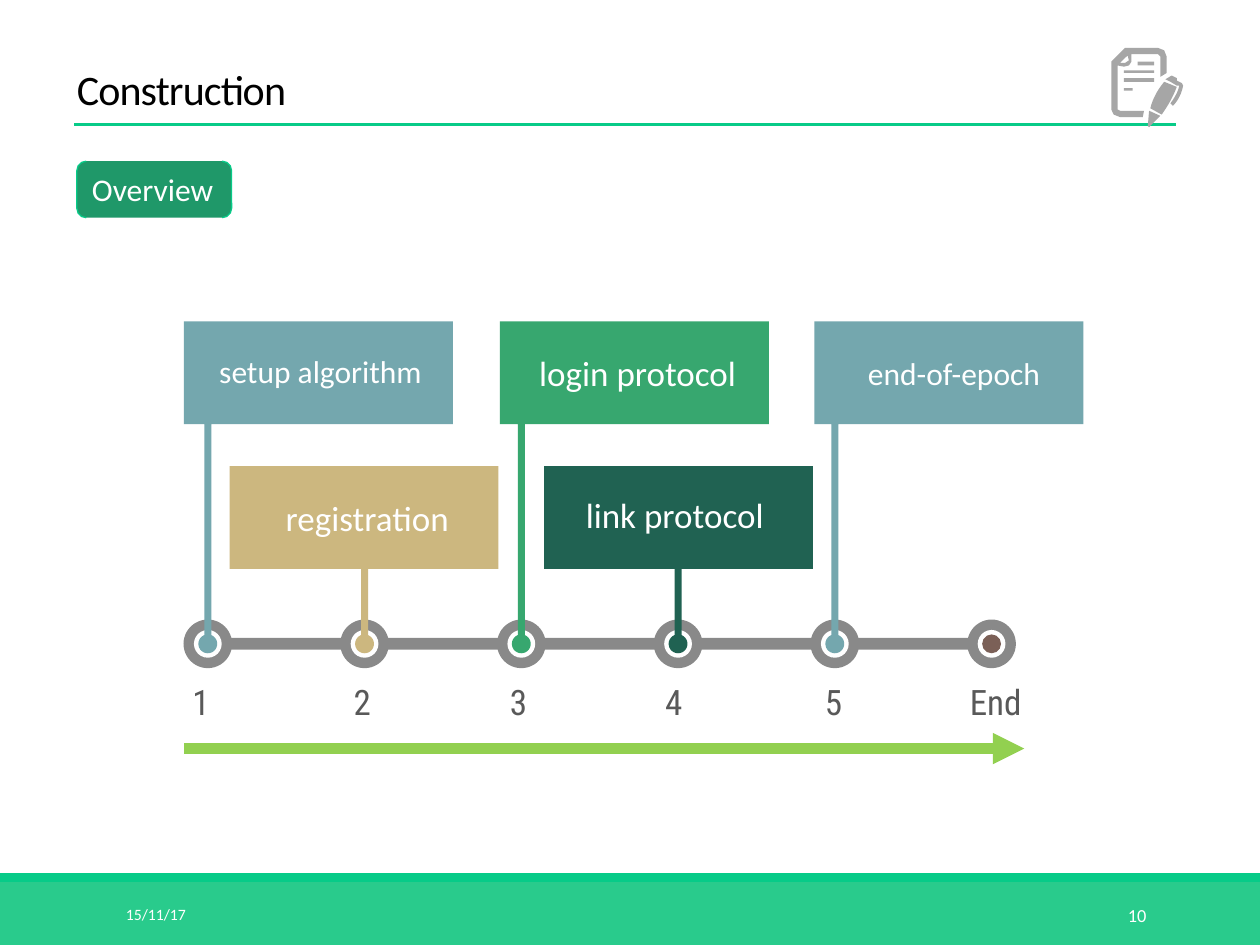
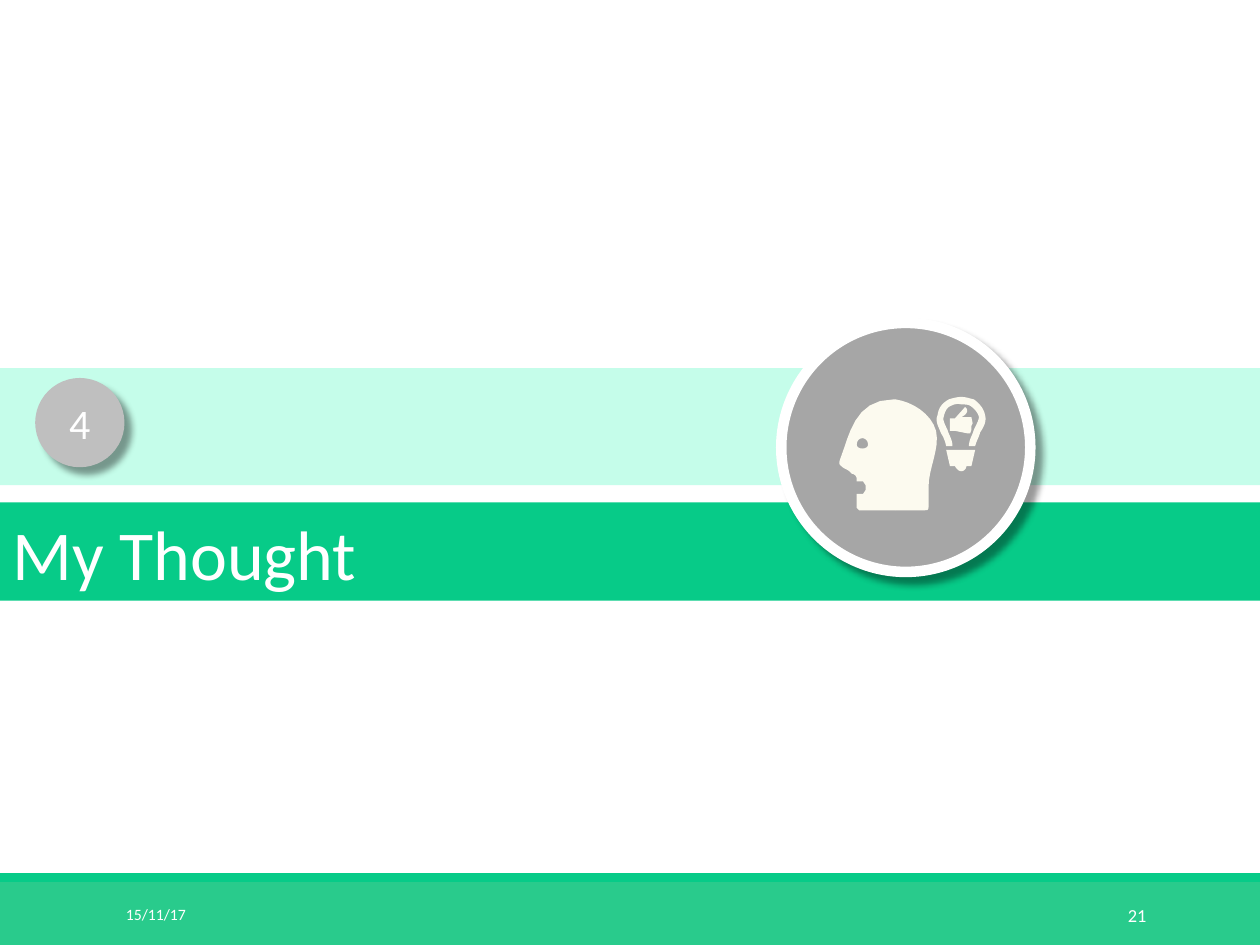
from math import cos, pi, sin

from lxml.etree import SubElement
from pptx import Presentation
from pptx.dml.color import RGBColor
from pptx.enum.shapes import MSO_CONNECTOR, MSO_SHAPE
from pptx.enum.text import MSO_ANCHOR, PP_ALIGN
from pptx.oxml.ns import qn
from pptx.util import Cm, Pt

HUES = {
    "white": "FFFFFF", "black": "000000", "green": "07CB88", "foot": "29CB8C",
    "mint": "C5FDEA", "badge": "1F9869", "grey": "898989", "icon": "A6A6A6",
    "disc": "BFBFBF", "label": "595959", "teal": "74A7AE", "sand": "CCB77F",
    "leaf": "37A76F", "pine": "206252", "brown": "7B6057", "lime": "92D050",
    "cream": "FCFAEF",
}
WIDE, HIGH = 25.4, 19.05
GRID = 0.0254  # icon points are hundredths of an inch


def bend(curve, steps=8):
    """Turn (x, y) points and (x1, y1, x2, y2, x, y) curves into plain points."""
    spots = []
    for item in curve:
        if len(item) == 2:
            spots.append(item)
            continue
        ends = [spots[-1], item[:2], item[2:4], item[4:]]
        for step in range(1, steps + 1):
            t = step / steps
            mix = ((1 - t) ** 3, 3 * t * (1 - t) ** 2, 3 * t * t * (1 - t), t ** 3)
            spots.append(tuple(sum(m * e[k] for m, e in zip(mix, ends)) for k in (0, 1)))
    return spots


def rect(left, top, right, low):
    return [(left, top), (right, top), (right, low), (left, low)]


class Deck:
    def __init__(self):
        self.prs = Presentation()
        self.prs.slide_width, self.prs.slide_height = Cm(WIDE), Cm(HIGH)
        self.slide = None

    def hue(self, name):
        return RGBColor.from_string(HUES[name])

    def page(self, num):
        self.slide = self.prs.slides.add_slide(self.prs.slide_layouts[6])
        self.shape(MSO_SHAPE.RECTANGLE, (0, 17.78, WIDE, 1.27), "foot")
        self.shape(MSO_SHAPE.RECTANGLE, (0, 17.6, WIDE, 0.18), "green")
        self.text("15/11/17", (2.29, 17.93, 5.16, 1.02), 9, anchor=MSO_ANCHOR.MIDDLE)
        self.text(num, (20.62, 17.93, 2.74, 1.02), 10.5,
                  anchor=MSO_ANCHOR.MIDDLE, align=PP_ALIGN.RIGHT)

    def paint(self, shape, fill, line=None, weight=0.75, shade=False):
        shape.shadow.inherit = False
        shape.fill.solid()
        shape.fill.fore_color.rgb = self.hue(fill)
        if line:
            shape.line.color.rgb = self.hue(line)
            shape.line.width = Pt(weight)
        else:
            shape.line.fill.background()
        if shade:
            cast = SubElement(shape._element.spPr.find(qn("a:effectLst")),
                              qn("a:outerShdw"), blurRad="50800", dist="76200",
                              dir="2700000", algn="tl", rotWithShape="0")
            tint = SubElement(cast, qn("a:srgbClr"), val=HUES["black"])
            SubElement(tint, qn("a:alpha"), val="40000")

    def shape(self, kind, box, fill, **look):
        shape = self.slide.shapes.add_shape(kind, *map(Cm, box))
        self.paint(shape, fill, **look)
        return shape

    def disc(self, x, y, r, fill, **look):
        return self.shape(MSO_SHAPE.OVAL, (x - r, y - r, 2 * r, 2 * r), fill, **look)

    def free(self, curves, fill, unit=1):
        pen = None
        for curve in curves:
            spots = [(Cm(x * unit), Cm(y * unit)) for x, y in bend(curve)]
            if pen:
                pen.move_to(*spots[0])
            else:
                pen = self.slide.shapes.build_freeform(*spots[0], scale=1.0)
            pen.add_line_segments(spots[1:], close=True)
        self.paint(pen.convert_to_shape(), fill)

    def label(self, shape, words, size, hue="white", face="Calibri", wrap=True,
              anchor=MSO_ANCHOR.TOP, align=PP_ALIGN.LEFT, lead=None, track=None):
        frame = shape.text_frame
        para = frame.paragraphs[0]
        run = para.add_run()
        run.text = words
        run.font.color.rgb = self.hue(hue)
        looks = [
            (frame, {"word_wrap": wrap, "vertical_anchor": anchor}),
            (para, {"alignment": align, "line_spacing": lead}),
            (run.font, {"size": Pt(size), "name": face}),
        ]
        for part, form in looks:
            for key, value in form.items():
                setattr(part, key, value)
        if track:
            run._r.get_or_add_rPr().set("spc", str(track))

    def text(self, words, box, size, **form):
        self.label(self.slide.shapes.add_textbox(*map(Cm, box)), words, size, **form)

    def line(self, start, end, hue, weight, arrow=False):
        line = self.slide.shapes.add_connector(
            MSO_CONNECTOR.STRAIGHT, *map(Cm, (*start, *end)))
        line.line.color.rgb = self.hue(hue)
        line.line.width = Pt(weight)
        props = line._element.spPr
        if arrow:
            SubElement(props.find(qn("a:ln")), qn("a:tailEnd"), type="triangle")
        SubElement(props, qn("a:effectLst"))

    def flag(self, left, top, stem, base, hue):
        """A box whose stem runs down to a round dot at the node."""
        wide, tall, half, r = 5.42, 2.07, 0.07, 0.19
        low = top + tall
        arc = [(stem + r * sin(a), base - r * cos(a))
               for a in (0.38 + k * (2 * pi - 0.76) / 24 for k in range(25))]
        self.free([[(left, top), (left + wide, top), (left + wide, low),
                    (stem + half, low), *arc, (stem - half, low), (left, low)]], hue)


# Icon outlines
NOTE = [
    [(895, 38), (919, 38), (924, 40), (926, 45), (926, 58), (921, 61), (921, 45),
     (919, 43), (898, 43), (898, 49), (896, 52), (892, 53), (887, 52), (887, 87),
     (889, 88), (908, 88), (907, 93), (889, 93), (884, 91), (882, 87), (882, 49),
     (893, 38)],
    [(934, 64), (934, 62), (930, 60), (925, 63), (929, 65), (934, 68), (936, 68),
     (935, 73, 932, 78, 929, 82), (931, 84), (935, 80, 938, 74, 939, 68), (938, 66)],
    [(924, 65), (919, 71, 915, 78, 913, 86), (922, 91), (927, 84, 931, 77, 934, 69)],
    [(912, 88), (911, 100), (912, 101), (914, 99), (921, 92)],
    rect(892, 70, 899, 72), rect(892, 62, 916, 65),
    rect(892, 56, 916, 58), rect(903, 49, 916, 52),
    [(889, 50), (893, 50), (896, 48), (895, 44)],
]
BACK = [
    [(743, 342), (739, 328, 724, 319, 711, 317), (711, 405), (733, 405),
     (737, 405, 737, 405, 737, 401), (737, 387), (737, 371, 746, 357, 743, 342)],
]
FACE = [
    [(709, 317), (678, 317, 674, 346, 667, 364), (665, 369, 667, 369, 669, 371),
     (672, 373, 674, 373, 676, 376), (678, 376, 680, 378, 680, 380), (680, 382),
     (685, 382), (687, 385), (687, 389), (685, 392), (680, 392), (680, 403),
     (682, 405), (711, 405), (711, 317)],
    [(680, 353), (680, 346, 689, 346, 689, 353), (689, 357, 680, 357, 680, 353)],
]
BULB = [
    [(751, 357), (774, 357), (771, 370), (767, 370), (767, 372, 765, 374, 763, 374),
     (761, 374, 759, 372, 758, 370), (754, 370)],
    [(771, 331), (772, 336), (771, 338), (771, 341), (770, 344), (768, 344),
     (758, 342), (754, 342), (754, 332), (758, 332), (766, 323),
     (770, 326, 766, 330, 763, 331)],
    [(751, 354), (756, 354), (756, 349, 753, 345, 752, 341),
     (750, 337, 748, 333, 749, 331), (750, 326, 752, 323, 755, 322),
     (757, 321, 760, 320, 763, 321), (766, 321, 768, 321, 770, 322),
     (773, 324, 776, 327, 777, 331), (777, 333, 775, 337, 773, 341),
     (772, 345, 769, 349, 769, 354), (774, 354), (775, 350, 777, 347, 778, 343),
     (781, 339, 783, 334, 782, 330), (781, 324, 777, 320, 773, 317),
     (769, 316, 766, 315, 763, 315), (760, 315, 756, 316, 753, 317),
     (748, 320, 745, 323, 744, 330), (742, 334, 745, 339, 747, 344),
     (749, 347, 750, 350, 751, 354)],
]


def build(deck):
    # Heading
    deck.page("10")
    deck.text("Construction", (1.3, 0.91, 19.05, 1.52), 24, hue="black",
              anchor=MSO_ANCHOR.BOTTOM, lead=0.85, track=-50)
    deck.line((1.5, 2.51), (23.7, 2.51), "green", 1.5)
    deck.free(NOTE, "icon", GRID)
    badge = deck.shape(MSO_SHAPE.DOUBLE_BRACKET, (1.55, 3.25, 3.12, 1.14), "badge",
                       line="green")
    deck.label(badge, "Overview", 18)

    # Time line with evenly spaced nodes
    base = 12.98
    nodes = [4.19 + 3.16 * k for k in range(6)]
    deck.shape(MSO_SHAPE.RECTANGLE, (nodes[0], base - 0.12, 16.2, 0.24), "grey")
    for x in nodes:
        deck.disc(x, base, 0.49, "grey")
        deck.disc(x, base, 0.28, "white")
    deck.disc(nodes[-1], base, 0.19, "brown")

    # Flags: left, row, colour, then words, place and size
    tops = (6.48, 9.4)
    flags = [
        (3.71, 0, "teal", "setup algorithm", (4.17, 6.98, 4.65, 1.02), 18, {}),
        (4.63, 1, "sand", "registration", (5.51, 9.88, 4.01, 1.12), 20, {}),
        (10.08, 0, "leaf", "login protocol", (10.62, 6.96, 4.67, 1.12), 20, {}),
        (10.97, 1, "pine", "link protocol", (11.56, 9.83, 4.29, 1.12), 20, {}),
        (16.42, 0, "teal", "end-of-epoch ", (17.22, 6.93, 4.17, 1.09), 18,
         {"align": PP_ALIGN.CENTER, "lead": 1.1}),
    ]
    for x, (left, row, hue, words, box, size, form) in zip(nodes, flags):
        deck.flag(left, tops[row], x, base, hue)
        deck.text(words, box, size, wrap=False, **form)

    # Step labels and direction
    steps = [("1", 3.63, 0.79), ("2", 6.88, 0.86), ("3", 10.03, 0.89),
             ("4", 13.16, 0.86), ("5", 16.38, 0.89), ("End", 19.3, 1.55)]
    for words, left, wide in steps:
        deck.text(words, (left, 13.59, wide, 1.12), 20, hue="label",
                  face="Roboto Condensed", wrap=False)
    deck.line((3.71, 15.09), (20.65, 15.09), "lime", 6, arrow=True)

    # Section bands
    deck.page("21")
    deck.shape(MSO_SHAPE.RECTANGLE, (0, 7.42, WIDE, 2.36), "mint")
    band = deck.shape(MSO_SHAPE.RECTANGLE, (0, 10.13, WIDE, 1.98), "green")
    deck.label(band, "My Thought", 40, anchor=MSO_ANCHOR.BOTTOM)

    # Section number and icon
    deck.disc(18.26, 9.02, 2.51, "icon", line="white", weight=6, shade=True)
    mark = deck.disc(1.61, 8.52, 0.9, "disc", shade=True)
    deck.label(mark, "4", 24, anchor=MSO_ANCHOR.MIDDLE, align=PP_ALIGN.CENTER)
    for part in (BACK, FACE, BULB):
        deck.free(part, "cream", GRID)


def main():
    deck = Deck()
    build(deck)
    deck.prs.save("out.pptx")


if __name__ == "__main__":
    main()
